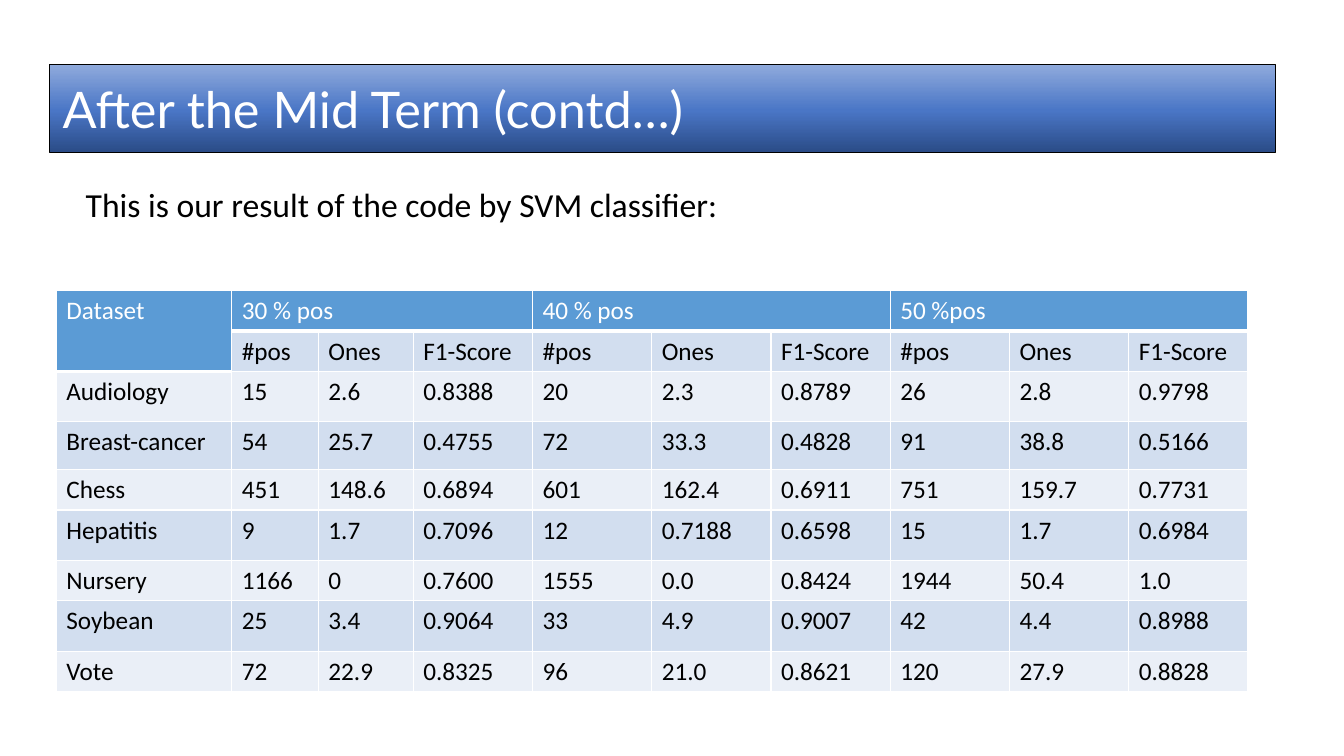
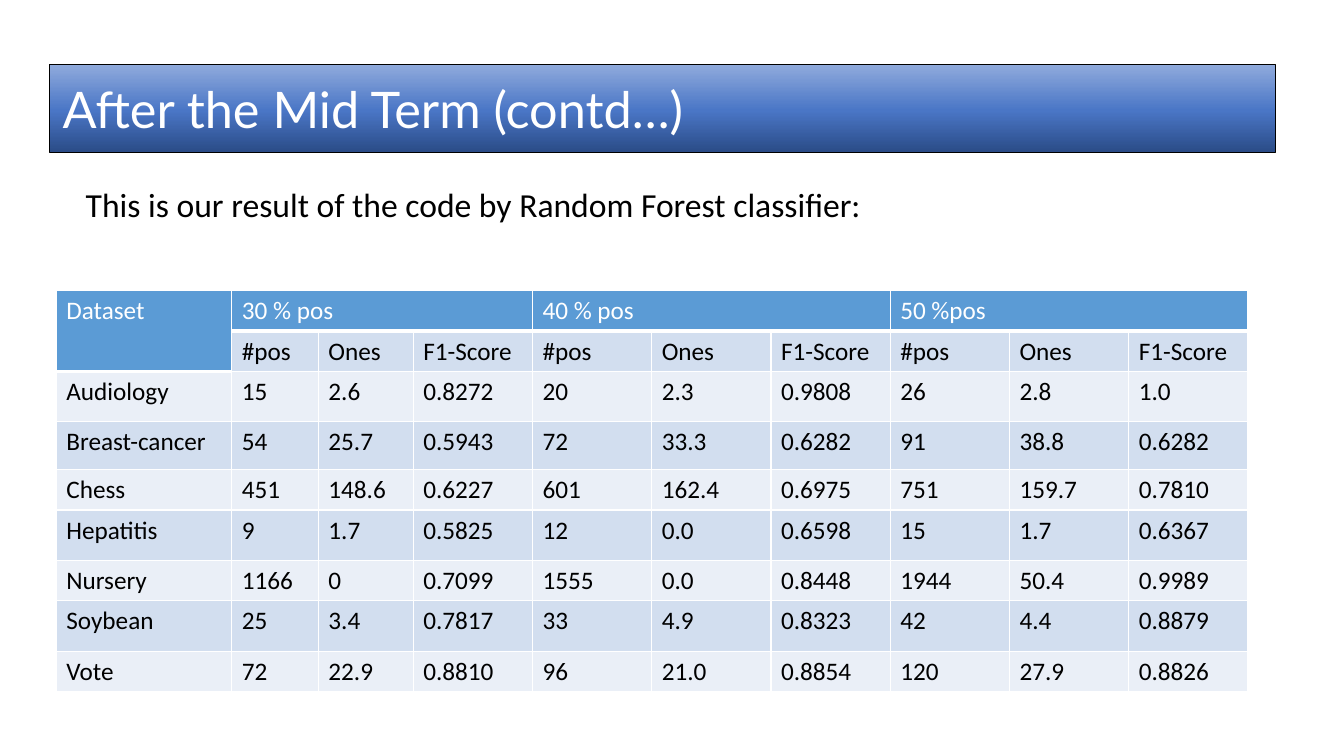
from lxml import etree
from pptx import Presentation
from pptx.dml.color import RGBColor
from pptx.enum.shapes import MSO_SHAPE
from pptx.enum.text import MSO_ANCHOR, MSO_AUTO_SIZE, PP_ALIGN
from pptx.oxml.ns import qn
from pptx.util import Inches, Pt

RECTANGLE = MSO_SHAPE.RECTANGLE
TOP, BOTTOM = MSO_ANCHOR.TOP, MSO_ANCHOR.BOTTOM
LEFT = PP_ALIGN.LEFT
NO_FIT, GROW = MSO_AUTO_SIZE.NONE, MSO_AUTO_SIZE.SHAPE_TO_FIT_TEXT

GRID_COLUMNS, GRID_ROWS = 160, 90
TITLE_ONLY = 5
WHITE, BLACK = "FFFFFF", "000000"

COLUMN_WIDTHS = [20.9, 10.3, 11.3] + [14.2] * 7
ROW_HEIGHTS = [4.8, 4.8, 6, 5.7, 4.8, 6, 4.8, 6, 4.8]
SHARES = ["30 % pos", "40 % pos", "50 %pos"]
MEASURES = ["#pos", "Ones", "F1-Score"]

# Number of positives and of ones for each share, the same for every classifier
SAMPLES = {
    "Audiology": [("15", "2.6"), ("20", "2.3"), ("26", "2.8")],
    "Breast-cancer": [("54", "25.7"), ("72", "33.3"), ("91", "38.8")],
    "Chess": [("451", "148.6"), ("601", "162.4"), ("751", "159.7")],
    "Hepatitis": [("9", "1.7"), ("12", "0.0"), ("15", "1.7")],
    "Nursery": [("1166", "0"), ("1555", "0.0"), ("1944", "50.4")],
    "Soybean": [("25", "3.4"), ("33", "4.9"), ("42", "4.4")],
    "Vote": [("72", "22.9"), ("96", "21.0"), ("120", "27.9")],
}
# The SVM results differ from them in one value
SVM_SAMPLES = SAMPLES | {"Hepatitis": [("9", "1.7"), ("12", "0.7188"), ("15", "1.7")]}

SVM_SCORES = {
    "Audiology": ["0.8388", "0.8789", "0.9798"],
    "Breast-cancer": ["0.4755", "0.4828", "0.5166"],
    "Chess": ["0.6894", "0.6911", "0.7731"],
    "Hepatitis": ["0.7096", "0.6598", "0.6984"],
    "Nursery": ["0.7600", "0.8424", "1.0"],
    "Soybean": ["0.9064", "0.9007", "0.8988"],
    "Vote": ["0.8325", "0.8621", "0.8828"],
}

FOREST_SCORES = {
    "Audiology": ["0.8272", "0.9808", "1.0"],
    "Breast-cancer": ["0.5943", "0.6282", "0.6282"],
    "Chess": ["0.6227", "0.6975", "0.7810"],
    "Hepatitis": ["0.5825", "0.6598", "0.6367"],
    "Nursery": ["0.7099", "0.8448", "0.9989"],
    "Soybean": ["0.7817", "0.8323", "0.8879"],
    "Vote": ["0.8810", "0.8854", "0.8826"],
}


def rgb(color):
    return RGBColor.from_string(color)


def result_rows(samples, scores):
    """Return the table body: a dataset name, then three measures per share."""
    rows = []
    for dataset, counts in samples.items():
        row = [dataset]
        for (positives, ones), score in zip(counts, scores[dataset]):
            row += [positives, ones, score]
        rows.append(row)
    return rows


class ResultDeck:
    HEADING_FONT, BODY_FONT = "Lato", "Calibri"
    BAND_STOPS = [(0, "2A4B86"), (48, "4A76C6"), (100, "8FAADC")]
    HEADER_FILL = "5B9BD5"
    ROW_FILLS = ["EAEFF7", "D2DEEF"]

    def __init__(self):
        self.deck = Presentation()
        self.deck.slide_width = Inches(13.33)
        self.deck.slide_height = Inches(7.5)
        self.slide = None

    def across(self, columns):
        return round(self.deck.slide_width * columns / GRID_COLUMNS)

    def down(self, rows):
        return round(self.deck.slide_height * rows / GRID_ROWS)

    def box(self, left, top, width, height):
        return self.across(left), self.down(top), self.across(width), self.down(height)

    def add_text(self, paragraph, text, size, color, font=BODY_FONT):
        paragraph.alignment = LEFT
        run = paragraph.add_run()
        run.text = text
        run.font.size = Pt(size)
        run.font.name = font
        run.font.bold = False
        run.font.color.rgb = rgb(color)

    def new_slide(self, statement):
        """Start a slide whose title is the statement above the table."""
        layout = self.deck.slide_layouts[TITLE_ONLY]
        self.slide = self.deck.slides.add_slide(layout)
        title = self.slide.shapes.title
        title.left, title.top, title.width, title.height = self.box(9, 22.1, 127.4, 5.3)
        frame = title.text_frame
        frame.auto_size = NO_FIT
        frame.word_wrap = True
        frame.vertical_anchor = BOTTOM
        frame.paragraphs[0].line_spacing = 0.9
        self.add_text(frame.paragraphs[0], statement, 24, BLACK)

    def heading_band(self, text):
        band = self.slide.shapes.add_shape(RECTANGLE, *self.box(5.9, 7.7, 145.9, 10.5))
        band.shadow.inherit = False
        band.line.color.rgb = rgb(BLACK)
        band.line.width = Pt(0.75)
        self.fill_gradient(band)
        frame = band.text_frame
        frame.word_wrap = True
        frame.auto_size = GROW
        frame.vertical_anchor = TOP
        frame.margin_left = frame.margin_right = Inches(0.13)
        frame.margin_top = frame.margin_bottom = Inches(0.13)
        self.add_text(frame.paragraphs[0], text, 36, WHITE, self.HEADING_FONT)

    def fill_gradient(self, band):
        """Run the band's colours from its bottom edge to its top edge."""
        band.fill.gradient()
        band.fill.gradient_angle = 90
        stops = next(band._element.spPr.iter(qn("a:gsLst")))
        for old_stop in list(stops):
            stops.remove(old_stop)
        for percent, color in self.BAND_STOPS:
            stop = etree.SubElement(stops, qn("a:gs"), pos=str(percent * 1000))
            etree.SubElement(stop, qn("a:srgbClr"), val=color)

    def result_table(self, body):
        grid = [["Dataset"], [""] + MEASURES * len(SHARES)] + body
        for share in SHARES:
            grid[0] += [share] + [""] * (len(MEASURES) - 1)
        table = self.slide.shapes.add_table(
            len(grid), len(COLUMN_WIDTHS),
            *self.box(6.7, 34.6, sum(COLUMN_WIDTHS), sum(ROW_HEIGHTS))).table
        for column, width in zip(table.columns, COLUMN_WIDTHS):
            column.width = self.across(width)
        for row, height in zip(table.rows, ROW_HEIGHTS):
            row.height = self.down(height)

        table.cell(0, 0).merge(table.cell(1, 0))
        for first in range(1, len(COLUMN_WIDTHS), len(MEASURES)):
            table.cell(0, first).merge(table.cell(0, first + len(MEASURES) - 1))

        for r, texts in enumerate(grid):
            for c, text in enumerate(texts):
                is_header = r == 0 or (r, c) == (1, 0)
                cell = table.cell(r, c)
                self.rule_cell(cell, 3 if is_header else 1)
                cell.fill.solid()
                fill = self.HEADER_FILL if is_header else self.ROW_FILLS[r % 2]
                cell.fill.fore_color.rgb = rgb(fill)
                if text:
                    self.add_text(cell.text_frame.paragraphs[0], text, 18,
                                  WHITE if is_header else BLACK)

    def rule_cell(self, cell, bottom_width):
        """Draw white borders around a cell, 1 pt except at the bottom."""
        properties = cell._tc.get_or_add_tcPr()
        for side, width in zip("LRTB", (1, 1, 1, bottom_width)):
            border = etree.SubElement(properties, qn(f"a:ln{side}"), w=str(int(Pt(width))))
            paint = etree.SubElement(border, qn("a:solidFill"))
            etree.SubElement(paint, qn("a:srgbClr"), val=WHITE)


def main():
    results = [
        ("SVM", SVM_SAMPLES, SVM_SCORES),
        ("Random Forest", SAMPLES, FOREST_SCORES),
    ]
    report = ResultDeck()
    for classifier, samples, scores in results:
        report.new_slide(f"This is our result of the code by {classifier} classifier:")
        report.heading_band("After the Mid Term (contd…)")
        report.result_table(result_rows(samples, scores))
    report.deck.save("out.pptx")


if __name__ == "__main__":
    main()
